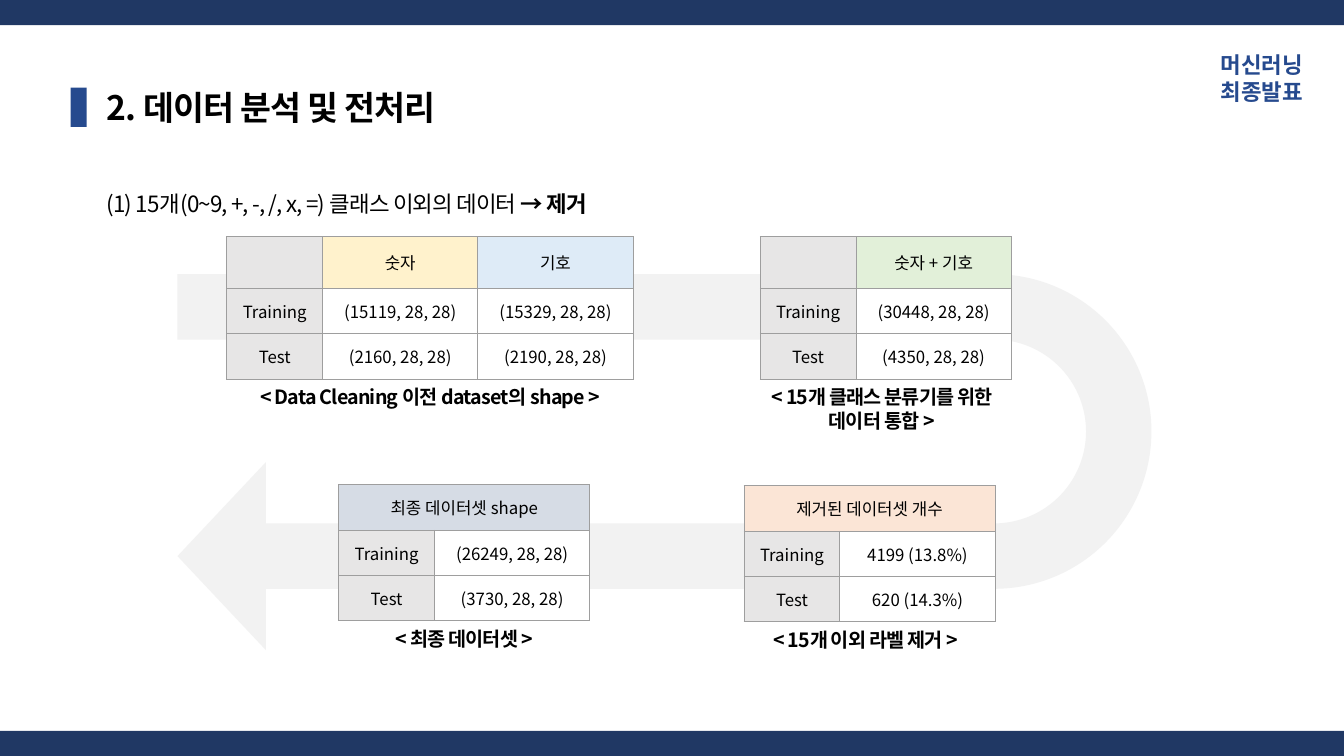
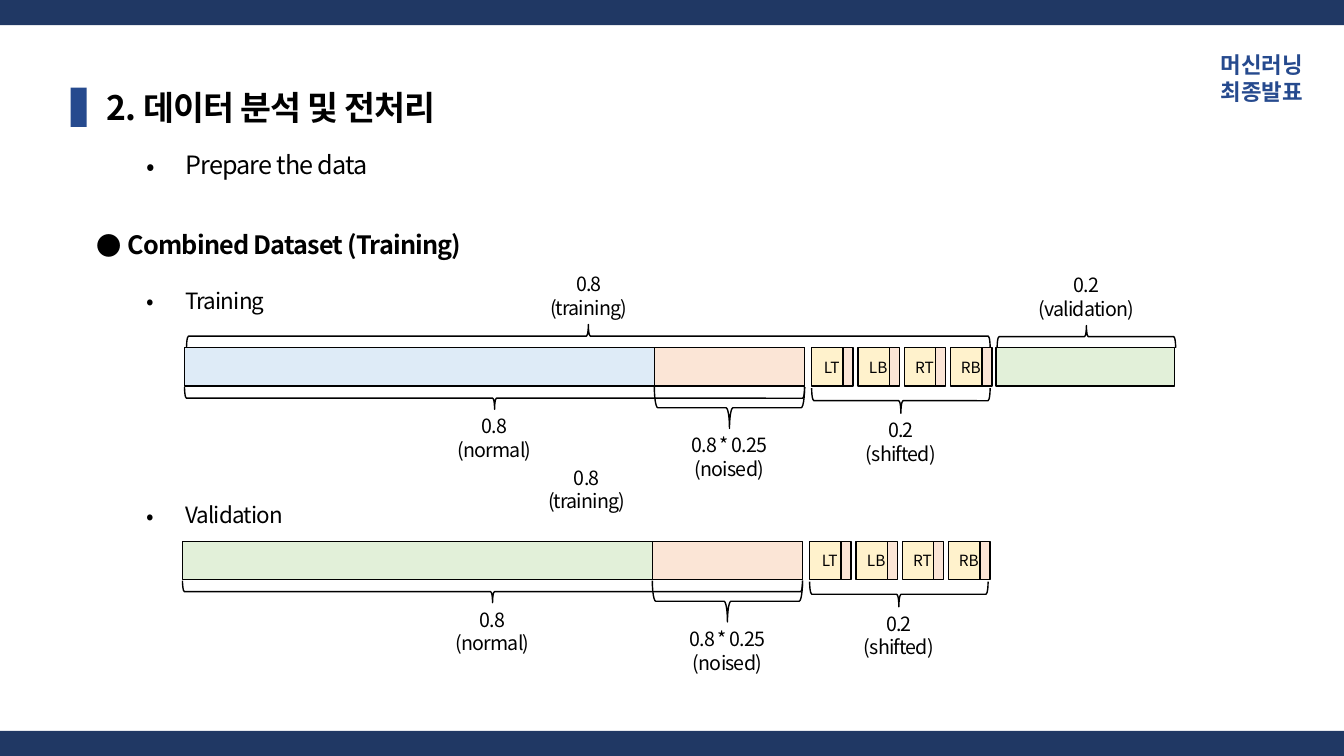
from lxml.etree import SubElement
from pptx import Presentation
from pptx.dml.color import RGBColor
from pptx.enum.shapes import MSO_SHAPE
from pptx.enum.text import MSO_ANCHOR, PP_ALIGN
from pptx.oxml.ns import qn
from pptx.util import Inches, Pt

FONT = "Noto Sans CJK KR"
COLORS = {
    "band": "203864", "accent": "264A8E", "ink": "000000", "white": "FFFFFF",
    "arrow": "F2F2F2", "border": "9E9E9E", "label": "E7E6E6", "yellow": "FFF2CC",
    "blue": "DEEBF7", "green": "E2F0D9", "orange": "FBE5D6", "slate": "D6DCE5",
}
WIDTH, HEIGHT, BAND = 13.33, 7.5, 0.25
TIGHT = -0.6


def color(name):
    return RGBColor.from_string(COLORS[name])


def style(paragraph, size, bold=False, ink="ink", spacing=0, align=PP_ALIGN.LEFT):
    paragraph.alignment = align
    font = paragraph.font
    font.size, font.bold, font.name = Pt(size), bold, FONT
    font.color.rgb = color(ink)
    properties = paragraph._p.get_or_add_pPr().get_or_add_defRPr()
    properties.set("spc", str(round(spacing * 100)))
    SubElement(properties, qn("a:ea"), typeface=FONT)


def add_text(slide, box, lines, size, wrap=True, **look):
    frame = slide.shapes.add_textbox(*map(Inches, box)).text_frame
    frame.word_wrap = wrap
    frame.text = "\n".join(lines)
    for paragraph in frame.paragraphs:
        style(paragraph, size, **look)
    return frame


def add_block(slide, box, fill=None, outlined=False, kind=MSO_SHAPE.RECTANGLE):
    block = slide.shapes.add_shape(kind, *map(Inches, box))
    block.shadow.inherit = False
    if fill:
        block.fill.solid()
        block.fill.fore_color.rgb = color(fill)
    else:
        block.fill.background()
    if outlined:
        block.line.color.rgb = color("ink")
        block.line.width = Pt(1)
    else:
        block.line.fill.background()
    return block


def add_turned(slide, box, kind, **look):
    """Place a shape turned by 90 degrees so that it covers the box."""
    x, y, w, h = box
    upright = (x + (w - h) / 2, y + (h - w) / 2, h, w)
    turned = add_block(slide, upright, kind=kind, **look)
    turned.rotation = 90
    return turned


def add_base(prs, title):
    slide = prs.slides.add_slide(prs.slide_layouts[6])
    for top in (0, HEIGHT - BAND):
        add_block(slide, (0, top, WIDTH, BAND), "band")
    # Title with its marker
    add_block(slide, (0.7, 0.87, 0.16, 0.39), "accent")
    add_text(slide, (0.96, 0.81, 6.67, 0.5), [title], 24, bold=True, spacing=TIGHT)
    # Course tag
    add_text(slide, (11.18, 0.46, 1.84, 0.64), ["머신러닝\v최종발표"], 16, wrap=False,
             bold=True, ink="accent", align=PP_ALIGN.RIGHT)
    return slide


# Tables of the data flow
def fill_cell(cell, text, fill):
    properties = cell._tc.get_or_add_tcPr()
    for side in ("a:lnL", "a:lnR", "a:lnT", "a:lnB"):
        line = SubElement(properties, qn(side), w=str(Pt(0.75)))
        SubElement(SubElement(line, qn("a:solidFill")), qn("a:srgbClr"),
                   val=COLORS["border"])
    cell.fill.solid()
    cell.fill.fore_color.rgb = color(fill)
    cell.margin_left = cell.margin_right = Inches(0.1)
    cell.margin_top = cell.margin_bottom = Inches(0.1)
    cell.vertical_anchor = MSO_ANCHOR.MIDDLE
    cell.text = text
    style(cell.text_frame.paragraphs[0], 12, align=PP_ALIGN.CENTER)


def add_shape_table(slide, x, y, header, rows, caption, caption_width=2.84, shift=0):
    """header holds (text, fill) pairs; a single pair spans the whole row."""
    widths = [0.95] + [1.54] * (len(rows[0]) - 1)
    spans = len(header) == 1
    heights = [0.45 if spans else 0.51, 0.45, 0.45]
    total, height = sum(widths), sum(heights)
    table = slide.shapes.add_table(len(heights), len(widths),
                                   *map(Inches, (x, y, total, height))).table
    table.first_row = table.horz_banding = False
    for column, width in zip(table.columns, widths):
        column.width = Inches(width)
    for row, row_height in zip(table.rows, heights):
        row.height = Inches(row_height)
    for c in range(len(widths)):
        fill_cell(table.cell(0, c), *(header[c] if c < len(header) else ("", header[0][1])))
        for r, values in enumerate(rows, 1):
            fill_cell(table.cell(r, c), values[c], "white" if c else "label")
    if spans:
        table.cell(0, 0).merge(table.cell(0, len(widths) - 1))
    left = x + (total - caption_width) / 2 + shift
    add_text(slide, (left, y + height + 0.01, caption_width, 0.34), [caption], 14,
             bold=True, spacing=TIGHT, align=PP_ALIGN.CENTER)


def build_cleaning(prs, title):
    slide = add_base(prs, title)
    # Step heading
    step = add_text(slide, (0.96, 1.57, 10, 0.56),
                    ["(1) 15개(0~9, +, -, /, x, =) 클래스 이외의 데이터 "],
                    16, spacing=TIGHT).paragraphs[0]
    step.line_spacing = 2.0
    result = step.add_run()
    result.text = "→ 제거"
    result.font.bold = True
    # Flow arrow behind the tables
    flow = add_turned(slide, (1.76, 2.72, 9.66, 3.73), MSO_SHAPE.U_TURN_ARROW, fill="arrow")
    for i, value in enumerate((0.174, 0.25, 0.235, 0.438, 1)):
        flow.adjustments[i] = value
    # Four stages
    add_shape_table(slide, 2.25, 2.35, [("", "label"), ("숫자", "yellow"), ("기호", "blue")],
                    [("Training", "(15119, 28, 28)", "(15329, 28, 28)"),
                     ("Test", "(2160, 28, 28)", "(2190, 28, 28)")],
                    "< Data Cleaning 이전 dataset의 shape >", caption_width=3.93)
    add_shape_table(slide, 7.54, 2.35, [("", "label"), ("숫자 + 기호", "green")],
                    [("Training", "(30448, 28, 28)"), ("Test", "(4350, 28, 28)")],
                    "< 15개 클래스 분류기를 위한 데이터 통합 >", shift=-0.04)
    add_shape_table(slide, 7.38, 4.82, [("제거된 데이터셋 개수", "orange")],
                    [("Training", "4199 (13.8%)"), ("Test", "620 (14.3%)")],
                    "< 15개 이외 라벨 제거 >", shift=-0.04)
    add_shape_table(slide, 3.36, 4.81, [("최종 데이터셋 shape", "slate")],
                    [("Training", "(26249, 28, 28)"), ("Test", "(3730, 28, 28)")],
                    "< 최종 데이터셋 >")


# Bars of the data split
def add_bullets(slide, box, items):
    """items holds (text, size, level, bold, points before)."""
    frame = add_text(slide, box, [], 18)
    for i, (text, size, level, bold, before) in enumerate(items):
        paragraph = frame.add_paragraph() if i else frame.paragraphs[0]
        paragraph.text = text
        paragraph.level = level
        paragraph.line_spacing = 2.0
        if before:
            paragraph.space_before = Pt(before)
        margin, indent, mark = ((0.31, -0.31, "●"), (0.88, -0.38, "•"))[level]
        properties = paragraph._p.get_or_add_pPr()
        properties.set("marL", str(Inches(margin)))
        properties.set("indent", str(Inches(indent)))
        for old in properties.findall(qn("a:defRPr")):
            properties.remove(old)
        SubElement(properties, qn("a:buFont"), typeface=FONT)
        SubElement(properties, qn("a:buChar"), char=mark)
        style(paragraph, size, bold=bold, spacing=TIGHT)


def add_share(slide, center, top, share, part):
    add_text(slide, (center - 0.64, top, 1.28, 0.57), [share, f"({part})"], 14,
             spacing=TIGHT, align=PP_ALIGN.CENTER)


def add_brace(slide, box, share, part, upward=False):
    x, y, w, h = box
    kind = MSO_SHAPE.LEFT_BRACE if upward else MSO_SHAPE.RIGHT_BRACE
    add_turned(slide, box, kind, outlined=True)
    add_share(slide, x + w / 2, y - 0.57 if upward else y + h, share, part)


def add_split_bar(slide, x, y, fill):
    bar = 0.38
    add_block(slide, (x, y, 6.15, bar), fill, outlined=True)
    add_block(slide, (x + 4.66, y, 1.49, bar), "orange", outlined=True)
    # Shifted parts, each with a noised strip
    for i, corner in enumerate(("LT", "LB", "RT", "RB")):
        left = x + 6.22 + 0.46 * i
        part = add_block(slide, (left, y, 0.4, bar), "yellow", outlined=True)
        frame = part.text_frame
        frame.word_wrap = False
        frame.vertical_anchor = MSO_ANCHOR.MIDDLE
        frame.text = corner
        style(frame.paragraphs[0], 11, align=PP_ALIGN.CENTER)
        add_block(slide, (left + 0.31, y, 0.1, bar), "orange", outlined=True)
    # Shares below and above
    add_brace(slide, (x, y + 0.39, 6.15, 0.22), "0.8", "normal")
    add_brace(slide, (x + 4.66, y + 0.39, 1.49, 0.41), "0.8 * 0.25", "noised")
    add_brace(slide, (x + 6.22, y + 0.4, 1.77, 0.25), "0.2", "shifted")
    add_share(slide, x + 4.01, y - 0.8, "0.8", "training")


def build_split(prs, title):
    slide = add_base(prs, title)
    add_bullets(slide, (0.86, 1.13, 6.66, 0.62), [("Prepare the data", 18, 1, False, 0)])
    add_bullets(slide, (0.86, 1.93, 6.67, 3.91), [
        ("Combined Dataset (Training)", 18, 0, True, 0),
        ("Training", 16, 1, False, 0),
        ("Validation", 16, 1, False, 115),
    ])
    add_split_bar(slide, 1.83, 3.45, "blue")
    add_split_bar(slide, 1.81, 5.37, "green")
    # Split of the upper bar into training and validation
    add_turned(slide, (1.85, 3.22, 7.97, 0.23), MSO_SHAPE.LEFT_BRACE, outlined=True)
    add_block(slide, (9.88, 3.45, 1.77, 0.38), "green", outlined=True)
    add_brace(slide, (9.89, 3.23, 1.77, 0.22), "0.2", "validation", upward=True)


def main():
    prs = Presentation()
    prs.slide_width, prs.slide_height = Inches(WIDTH), Inches(HEIGHT)
    title = "2. 데이터 분석 및 전처리"
    build_cleaning(prs, title)
    build_split(prs, title)
    prs.save("out.pptx")


if __name__ == "__main__":
    main()
